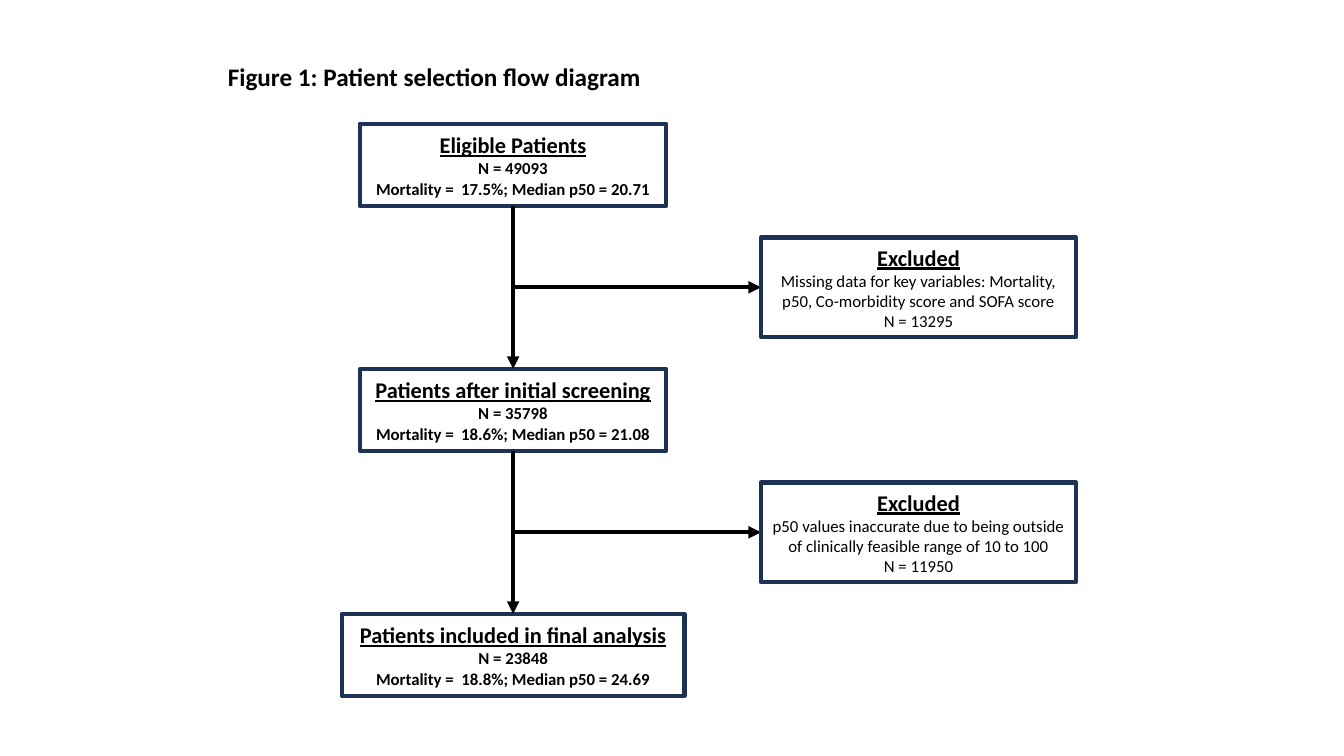
from dataclasses import dataclass

from lxml import etree
from pptx import Presentation
from pptx.dml.color import RGBColor
from pptx.enum.shapes import MSO_CONNECTOR, MSO_SHAPE
from pptx.enum.text import MSO_ANCHOR, MSO_AUTO_SIZE, PP_ALIGN
from pptx.oxml.ns import qn
from pptx.util import Pt

RECT = MSO_SHAPE.RECTANGLE
STRAIGHT = MSO_CONNECTOR.STRAIGHT
MIDDLE, TOP = MSO_ANCHOR.MIDDLE, MSO_ANCHOR.TOP
GROW = MSO_AUTO_SIZE.SHAPE_TO_FIT_TEXT
LEFT, CENTER = PP_ALIGN.LEFT, PP_ALIGN.CENTER
TITLE_ONLY = 5


@dataclass(frozen=True)
class Theme:
    ink: RGBColor = RGBColor(0, 0, 0)
    edge: RGBColor = RGBColor(0x1E, 0x32, 0x56)
    font: str = "Calibri"
    title: int = 18
    head: int = 16
    body: int = 12
    line: int = 3


THEME = Theme()

AXIS = 366.5
FIRST = 88.5
STEP = 175
STAGE_H = 58.5
SIDE_X, SIDE_W, SIDE_H = 543.6, 225, 71.3

STAGES = [
    (219, "Eligible Patients", "N = 49093",
     "Mortality =  17.5%; Median p50 = 20.71"),
    (219, "Patients after initial screening", "N = 35798",
     "Mortality =  18.6%; Median p50 = 21.08"),
    (245, "Patients included in final analysis", "N = 23848",
     "Mortality =  18.8%; Median p50 = 24.69"),
]
EXCLUDED = [
    ("Missing data for key variables: Mortality, p50, "
     "Co-morbidity score and SOFA score", "N = 13295"),
    ("p50 values inaccurate due to being outside of clinically "
     "feasible range of 10 to 100", "N = 11950"),
]


def apply(item, values):
    for name, value in values.items():
        setattr(item, name, value)


def write(par, text, size, align, bold=True, under=False):
    par.alignment = align
    run = par.add_run()
    run.text = text
    apply(run.font, {"name": THEME.font, "size": Pt(size),
                     "bold": bold, "underline": under})
    run.font.color.rgb = THEME.ink


def add_title(slide, text):
    title = slide.shapes.title
    apply(title, {"left": Pt(155.5), "top": Pt(40.3),
                  "width": Pt(421), "height": Pt(29)})
    frame = title.text_frame
    apply(frame, {"vertical_anchor": TOP, "auto_size": GROW,
                  "word_wrap": True})
    write(frame.paragraphs[0], text, THEME.title, LEFT)


def add_box(slide, left, top, width, height, head, lines, bold):
    box = slide.shapes.add_shape(RECT, Pt(left), Pt(top),
                                 Pt(width), Pt(height))
    box.shadow.inherit = False
    box.fill.background()
    box.line.color.rgb = THEME.edge
    box.line.width = Pt(THEME.line)
    frame = box.text_frame
    apply(frame, {"vertical_anchor": MIDDLE, "word_wrap": True})
    write(frame.paragraphs[0], head, THEME.head, CENTER, under=True)
    for line in lines:
        write(frame.add_paragraph(), line, THEME.body, CENTER, bold)


def add_arrow(slide, x1, y1, x2, y2):
    arrow = slide.shapes.add_connector(STRAIGHT, Pt(x1), Pt(y1),
                                       Pt(x2), Pt(y2))
    arrow.line.color.rgb = THEME.ink
    arrow.line.width = Pt(THEME.line)
    props = arrow.element.spPr
    etree.SubElement(props.find(qn("a:ln")), qn("a:tailEnd"), type="triangle")
    etree.SubElement(props, qn("a:effectLst"))


def main():
    deck = Presentation()
    deck.slide_width, deck.slide_height = Pt(960), Pt(540)
    slide = deck.slides.add_slide(deck.slide_layouts[TITLE_ONLY])
    add_title(slide, "Figure 1: Patient selection flow diagram")
    for i, (width, head, *lines) in enumerate(STAGES):
        add_box(slide, AXIS - width / 2, FIRST + i * STEP, width, STAGE_H,
                head, lines, True)
    for i, lines in enumerate(EXCLUDED):
        start = FIRST + i * STEP + STAGE_H
        end = FIRST + (i + 1) * STEP
        mid = (start + end) / 2
        add_arrow(slide, AXIS, start, AXIS, end)
        add_arrow(slide, AXIS, mid, SIDE_X, mid)
        add_box(slide, SIDE_X, mid - SIDE_H / 2, SIDE_W, SIDE_H,
                "Excluded", lines, False)
    deck.save("out.pptx")


if __name__ == "__main__":
    main()
